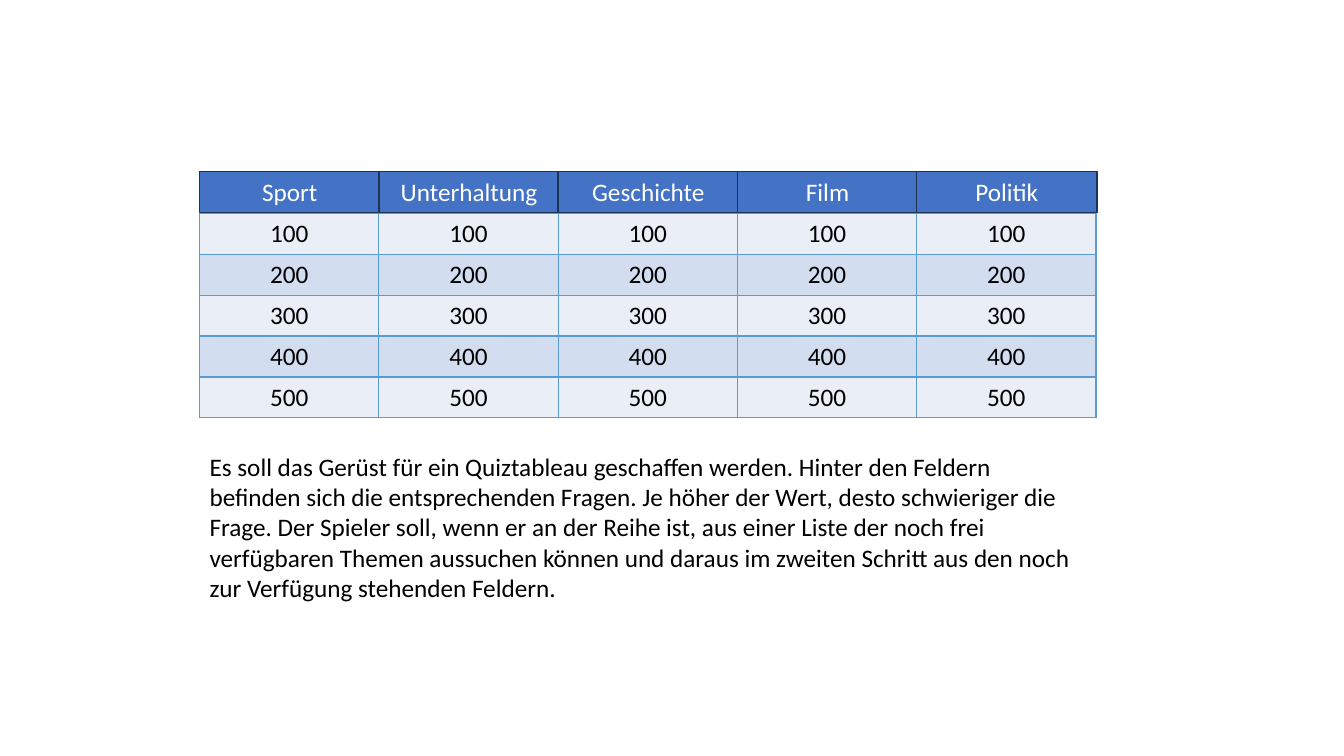
from dataclasses import dataclass

from lxml import etree
from pptx import Presentation
from pptx.dml.color import RGBColor
from pptx.enum.shapes import MSO_SHAPE
from pptx.enum.text import MSO_ANCHOR, MSO_AUTO_SIZE, PP_ALIGN
from pptx.oxml.ns import qn
from pptx.util import Inches, Pt

RECT = MSO_SHAPE.RECTANGLE
MIDDLE = MSO_ANCHOR.MIDDLE
GROW = MSO_AUTO_SIZE.SHAPE_TO_FIT_TEXT
LEFT, CENTER = PP_ALIGN.LEFT, PP_ALIGN.CENTER


@dataclass(frozen=True)
class Theme:
    font: str = "Calibri"
    size: int = 18
    line: int = 1
    text: str = "000000"
    header_text: str = "FFFFFF"
    header_fill: str = "4472C4"
    header_line: str = "1E3256"
    grid: str = "5B9BD5"
    bands: tuple = ("EAEFF7", "D2DEEF")


THEME = Theme()
TOPICS = ["Sport", "Unterhaltung", "Geschichte", "Film", "Politik"]
POINTS = [100, 200, 300, 400, 500]
TASK = (
    "Es soll das Gerüst für ein Quiztableau geschaffen werden. Hinter den Feldern "
    "befinden sich die entsprechenden Fragen. Je höher der Wert, desto schwieriger "
    "die Frage. Der Spieler soll, wenn er an der Reihe ist, aus einer Liste der noch "
    "frei verfügbaren Themen aussuchen können und daraus im zweiten Schritt aus den "
    "noch zur Verfügung stehenden Feldern."
)


def rgb(value):
    return RGBColor.from_string(value)


def write(tf, text, color, align):
    p = tf.paragraphs[0]
    p.text = text
    p.alignment = align
    p.font.name = THEME.font
    p.font.size = Pt(THEME.size)
    p.font.color.rgb = rgb(color)


def add_borders(cell):
    """Draw the four borders; they must precede the cell's fill."""
    tc_pr = cell._tc.get_or_add_tcPr()
    for side in ("lnL", "lnR", "lnT", "lnB"):
        ln = etree.SubElement(tc_pr, qn(f"a:{side}"), w=str(Pt(THEME.line)))
        fill = etree.SubElement(ln, qn("a:solidFill"))
        etree.SubElement(fill, qn("a:srgbClr"), val=THEME.grid)


def topic_header(slide, x, y, w, h):
    """Place one box per topic, each overlapping the next by a hair."""
    pitch = w / len(TOPICS)
    for i, topic in enumerate(TOPICS):
        sp = slide.shapes.add_shape(
            RECT, Inches(x + i * pitch), Inches(y), Inches(pitch + 0.01), Inches(h))
        sp.shadow.inherit = False
        sp.fill.solid()
        sp.fill.fore_color.rgb = rgb(THEME.header_fill)
        sp.line.color.rgb = rgb(THEME.header_line)
        sp.line.width = Pt(THEME.line)
        sp.text_frame.word_wrap = True
        sp.text_frame.vertical_anchor = MIDDLE
        write(sp.text_frame, topic, THEME.header_text, CENTER)


def points_table(slide, x, y, w, h):
    table = slide.shapes.add_table(
        len(POINTS), len(TOPICS), Inches(x), Inches(y), Inches(w), Inches(h)).table
    table.first_row = False
    table.horz_banding = False
    for r, points in enumerate(POINTS):
        for cell in table.rows[r].cells:
            add_borders(cell)
            cell.fill.solid()
            cell.fill.fore_color.rgb = rgb(THEME.bands[r % 2])
            write(cell.text_frame, str(points), THEME.text, CENTER)


def task_text(slide, x, y, w, h):
    tf = slide.shapes.add_textbox(
        Inches(x), Inches(y), Inches(w), Inches(h)).text_frame
    tf.word_wrap = True
    tf.auto_size = GROW
    write(tf, TASK, THEME.text, LEFT)


def quiz_slide(prs, x, y, w, row):
    """Stack header, points and task text in a column of the given row height."""
    slide = prs.slides.add_slide(prs.slide_layouts[6])
    table_top = y + row + 0.01
    table_height = len(POINTS) * row
    points_table(slide, x, table_top, w, table_height)
    topic_header(slide, x, y, w, row)
    task_text(slide, x, table_top + table_height + 0.28, w, 4 * row)


def main():
    prs = Presentation()
    prs.slide_width, prs.slide_height = Inches(13.33), Inches(7.5)
    quiz_slide(prs, x=1.98, y=1.7, w=8.89, row=0.406)
    prs.save("out.pptx")


if __name__ == "__main__":
    main()
